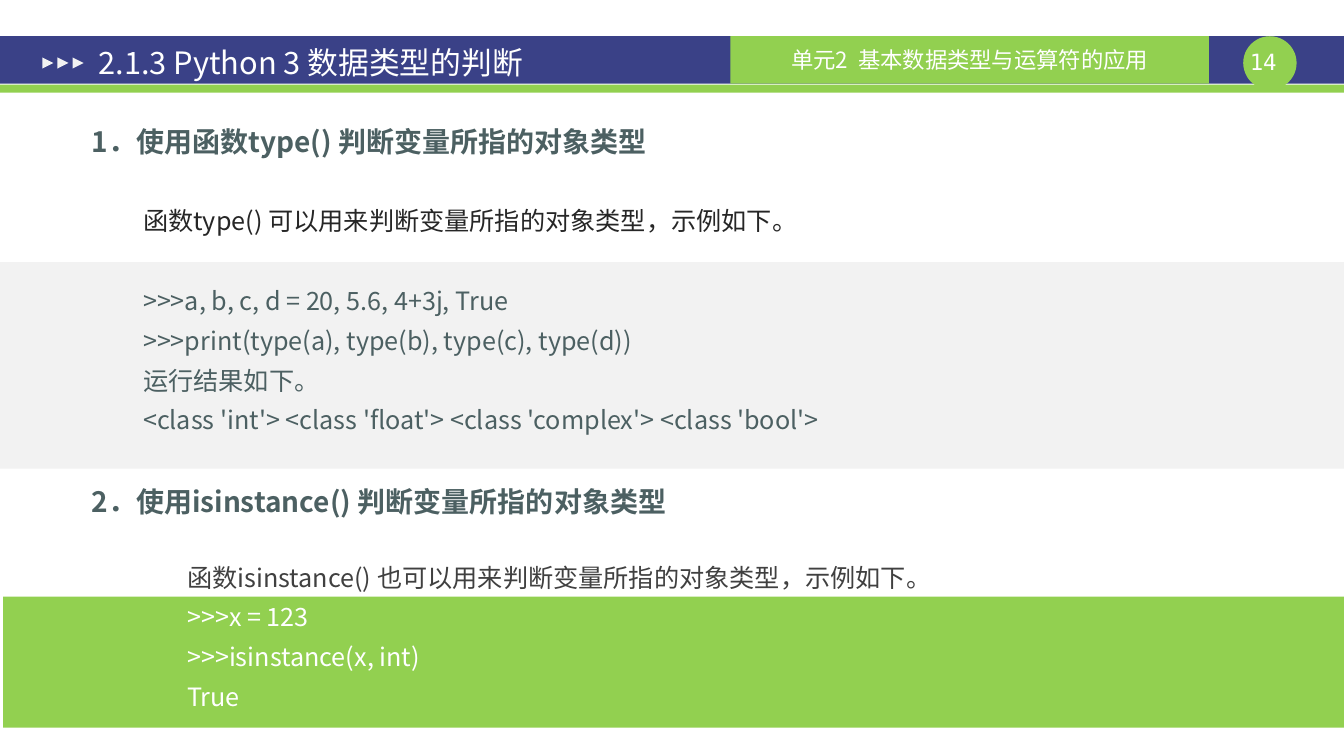
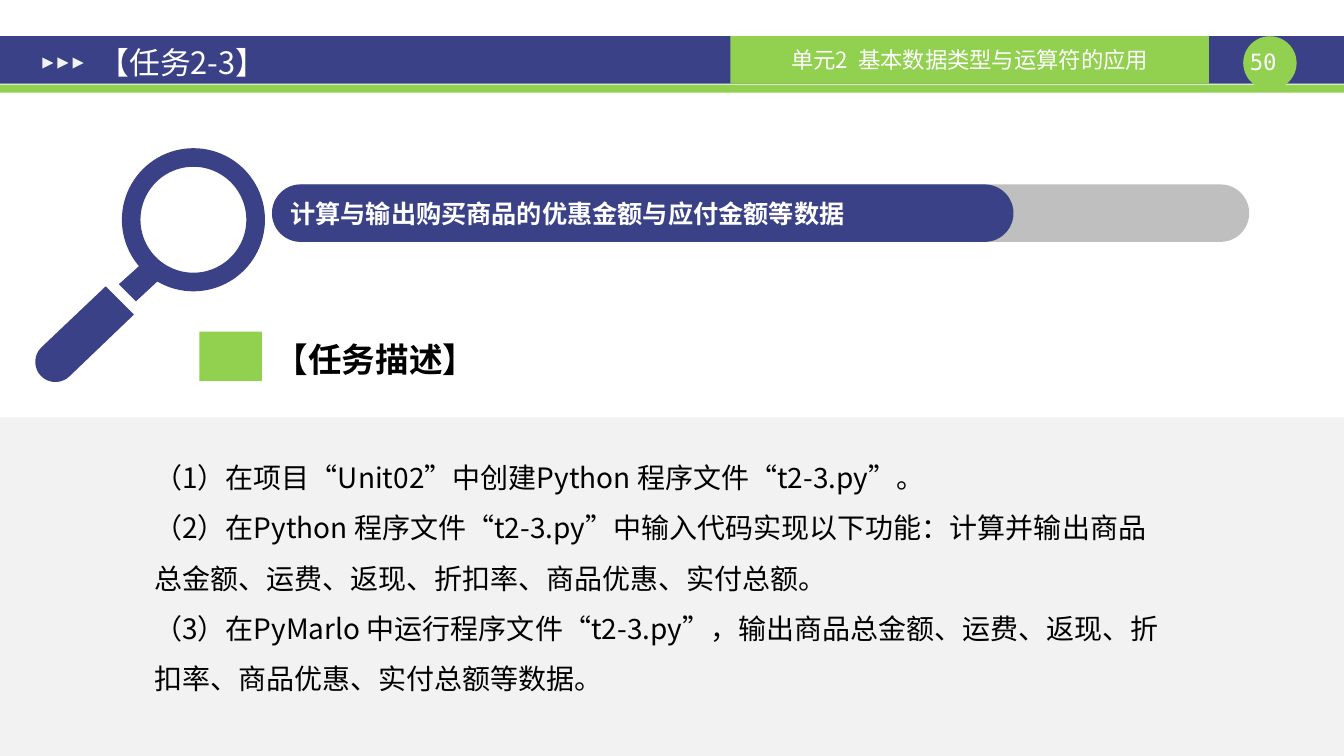
"""Build two Python lesson slides that share one header frame."""
import math
import pptx
import pptx.util
import pptx.dml.color
import pptx.enum.shapes
import pptx.enum.text
import pptx.oxml.ns
import lxml.etree

Inches, Pt = pptx.util.Inches, pptx.util.Pt
RGB = pptx.dml.color.RGBColor
KIND = pptx.enum.shapes.MSO_SHAPE
ALIGN = pptx.enum.text.PP_ALIGN
MIDDLE = pptx.enum.text.MSO_ANCHOR.MIDDLE
TOP = pptx.enum.text.MSO_ANCHOR.TOP

NAVY = RGB(0x3A, 0x41, 0x87)
GREEN = RGB(0x92, 0xD0, 0x50)
PALE = RGB(0xF2, 0xF2, 0xF2)
GREY = RGB(0xBF, 0xBF, 0xBF)
SLATE = RGB(0x4C, 0x60, 0x62)
DARK = RGB(0x26, 0x26, 0x26)
SOFT = RGB(0x40, 0x40, 0x40)
WHITE = RGB(0xFF, 0xFF, 0xFF)
BLACK = RGB(0, 0, 0)
SANS, MONO = "Noto Sans CJK SC", "DejaVu Sans Mono"

UNIT = "单元2  基本数据类型与运算符的应用"
HEADS = [
    (1.08, "1．使用函数type() 判断变量所指的对象类型"),
    (4.65, "2．使用isinstance() 判断变量所指的对象类型"),
]
TYPE_INTRO = "函数type() 可以用来判断变量所指的对象类型，示例如下。"
TYPE_CODE = [
    ">>>a, b, c, d = 20, 5.6, 4+3j, True",
    ">>>print(type(a), type(b), type(c), type(d))",
    "运行结果如下。",
    "<class 'int'> <class 'float'> <class 'complex'> <class 'bool'>",
]
INST_INTRO = "函数isinstance() 也可以用来判断变量所指的对象类型，示例如下。"
INST_CODE = [">>>x = 123", ">>>isinstance(x, int)", "True"]
TASK = "计算与输出购买商品的优惠金额与应付金额等数据"
STEPS = [
    "（1）在项目“Unit02”中创建Python 程序文件“t2-3.py”。",
    "（2）在Python 程序文件“t2-3.py”中输入代码实现以下功能：计算并输出商品总金额、运费、返现、折扣率、商品优惠、实付总额。",
    "（3）在PyMarlo 中运行程序文件“t2-3.py”，输出商品总金额、运费、返现、折扣率、商品优惠、实付总额等数据。",
]

LEFT = {"alignment": ALIGN.LEFT, "space_before": Pt(0)}
CENTER = {**LEFT, "alignment": ALIGN.CENTER}
LOOSE = {**LEFT, "line_spacing": 1.5}
CODE = {**LEFT, "line_spacing": 1.32}
GAP = {**CODE, "space_before": Pt(28.6)}


def font(size, bold=False, name=SANS):
    """Return the format values of a font."""
    return {"size": Pt(size), "bold": bold, "name": name}


def apply(item, values):
    """Set each format value on the item."""
    for key, value in values.items():
        setattr(item, key, value)


def write(shape, lines, anchor=TOP, inset=(0.1, 0.05), indent=0):
    """Fill a shape with (text, colour, font, paragraph) lines."""
    frame = shape.text_frame
    wide, high = map(Inches, inset)
    apply(frame, {
        "word_wrap": True, "vertical_anchor": anchor,
        "auto_size": pptx.enum.text.MSO_AUTO_SIZE.NONE,
        "margin_left": wide, "margin_right": wide,
        "margin_top": high, "margin_bottom": high})
    for i, (text, color, face, style) in enumerate(lines):
        para = frame.add_paragraph() if i else frame.paragraphs[0]
        apply(para, style)
        props = para._p.get_or_add_pPr()
        props.set("marL", "0")
        props.set("indent", str(Inches(indent)))
        lxml.etree.SubElement(props, pptx.oxml.ns.qn("a:buNone"))
        run = para.add_run()
        run.text = text
        apply(run.font, face)
        run.font.color.rgb = color
        east = lxml.etree.SubElement(run._r.get_or_add_rPr(), pptx.oxml.ns.qn("a:ea"))
        east.set("typeface", face["name"])


def paint(shape, color):
    """Give a shape a plain fill with no line or shadow."""
    shape.shadow.inherit = False
    shape.fill.solid()
    shape.fill.fore_color.rgb = color
    shape.line.fill.background()
    return shape


def block(slide, kind, box, color, adj=None):
    """Add a plain preset shape."""
    shape = paint(slide.shapes.add_shape(kind, *map(Inches, box)), color)
    if adj is not None:
        shape.adjustments[0] = adj
    return shape


def label(slide, box, lines, **opts):
    """Add a text box."""
    write(slide.shapes.add_textbox(*map(Inches, box)), lines, **opts)


def place(slide, holder, box, lines, **opts):
    """Move a placeholder to the front and fill it."""
    apply(holder, dict(zip(("left", "top", "width", "height"), map(Inches, box))))
    slide.shapes._spTree.append(holder._element)
    write(holder, lines, **opts)


def outline(slide, points, color):
    """Add a closed polygon."""
    spots = [(Inches(x), Inches(y)) for x, y in points]
    pen = slide.shapes.build_freeform(*spots[0])
    pen.add_line_segments(spots[1:], close=True)
    paint(pen.convert_to_shape(), color)


def start(deck, title, page):
    """Add a slide with the shared header."""
    slide = deck.slides.add_slide(deck.slide_layouts[1])
    block(slide, KIND.RECTANGLE, (0, 0.36, 13.34, 0.47), NAVY)
    block(slide, KIND.RECTANGLE, (0, 0.84, 13.34, 0.08), GREEN)
    block(slide, KIND.OVAL, (12.34, 0.36, 0.53, 0.53), GREEN)
    label(slide, (12.34, 0.48, 0.53, 0.27),
          [(page, WHITE, font(16, name=MONO), CENTER)], inset=(0, 0))
    unit = block(slide, KIND.RECTANGLE, (7.25, 0.36, 4.75, 0.47), GREEN)
    write(unit, [(UNIT, WHITE, font(16), CENTER)], anchor=MIDDLE)
    for i in range(3):
        mark = block(slide, KIND.ISOSCELES_TRIANGLE,
                     (0.42 + 0.15 * i, 0.57, 0.11, 0.11), PALE)
        mark.rotation = 90
    place(slide, slide.shapes.title, (0.85, 0.4, 7.2, 0.44),
          [(title, WHITE, font(22), LEFT)], anchor=MIDDLE, inset=(0.13, 0.07))
    return slide


def types(deck):
    """Build the slide on checking data types."""
    slide = start(deck, "2.1.3 Python 3 数据类型的判断", "14 ")
    block(slide, KIND.RECTANGLE, (0, 2.6, 13.34, 2.05), PALE)
    for top, text in HEADS:
        label(slide, (0.31, top, 12.48, 0.5),
              [(text, SLATE, font(20, True), CODE)], indent=0.5)
    block(slide, KIND.RECTANGLE, (0.03, 5.92, 13.31, 1.3), GREEN)
    face = font(18)
    label(slide, (1.26, 5.43, 10.84, 1.7),
          [(INST_INTRO, SOFT, face, CODE)]
          + [(text, WHITE, face, CODE) for text in INST_CODE], indent=0.5)
    place(slide, slide.placeholders[1], (0.82, 1.89, 11.44, 2.5),
          [(TYPE_INTRO, DARK, face, CODE)]
          + [(text, SLATE, face, CODE if i else GAP)
             for i, text in enumerate(TYPE_CODE)], indent=0.5)


def lens(slide):
    """Draw the magnifying glass."""
    outline(slide, [(1.63, 2.73), (1.35, 2.99), (1.18, 2.82), (1.47, 2.56)], NAVY)
    block(slide, KIND.DONUT, (1.21, 1.47, 1.42, 1.42), NAVY, 0.13)
    turns = [math.radians(225 - 10 * i) for i in range(19)]
    tip = [(0.55 + 0.2 * math.cos(t), 3.59 + 0.2 * math.sin(t)) for t in turns]
    outline(slide, [(1.05, 2.84), *tip, (1.33, 3.12)], NAVY)


def task(deck):
    """Build the slide on the task."""
    slide = start(deck, "【任务2-3】", "50 ")
    block(slide, KIND.RECTANGLE, (0, 4.14, 13.34, 3.36), PALE)
    for width, color in ((9.7, GREY), (7.36, NAVY)):
        bar = block(slide, KIND.ROUNDED_RECTANGLE, (2.7, 1.83, width, 0.57), color, 0.5)
    write(bar, [(TASK, WHITE, font(18, True), LEFT)], anchor=MIDDLE)
    lens(slide)
    block(slide, KIND.RECTANGLE, (1.98, 3.29, 0.62, 0.49), GREEN)
    label(slide, (2.63, 3.31, 2.46, 0.5),
          [("【任务描述】", BLACK, font(24, True), LEFT)])
    place(slide, slide.placeholders[1], (1.43, 4.35, 10.32, 2.63),
          [(text, BLACK, font(20), LOOSE) for text in STEPS])


def main():
    """Build and save the deck."""
    deck = pptx.Presentation()
    deck.slide_width, deck.slide_height = Inches(13.34), Inches(7.5)
    types(deck)
    task(deck)
    deck.save("out.pptx")


if __name__ == "__main__":
    main()
